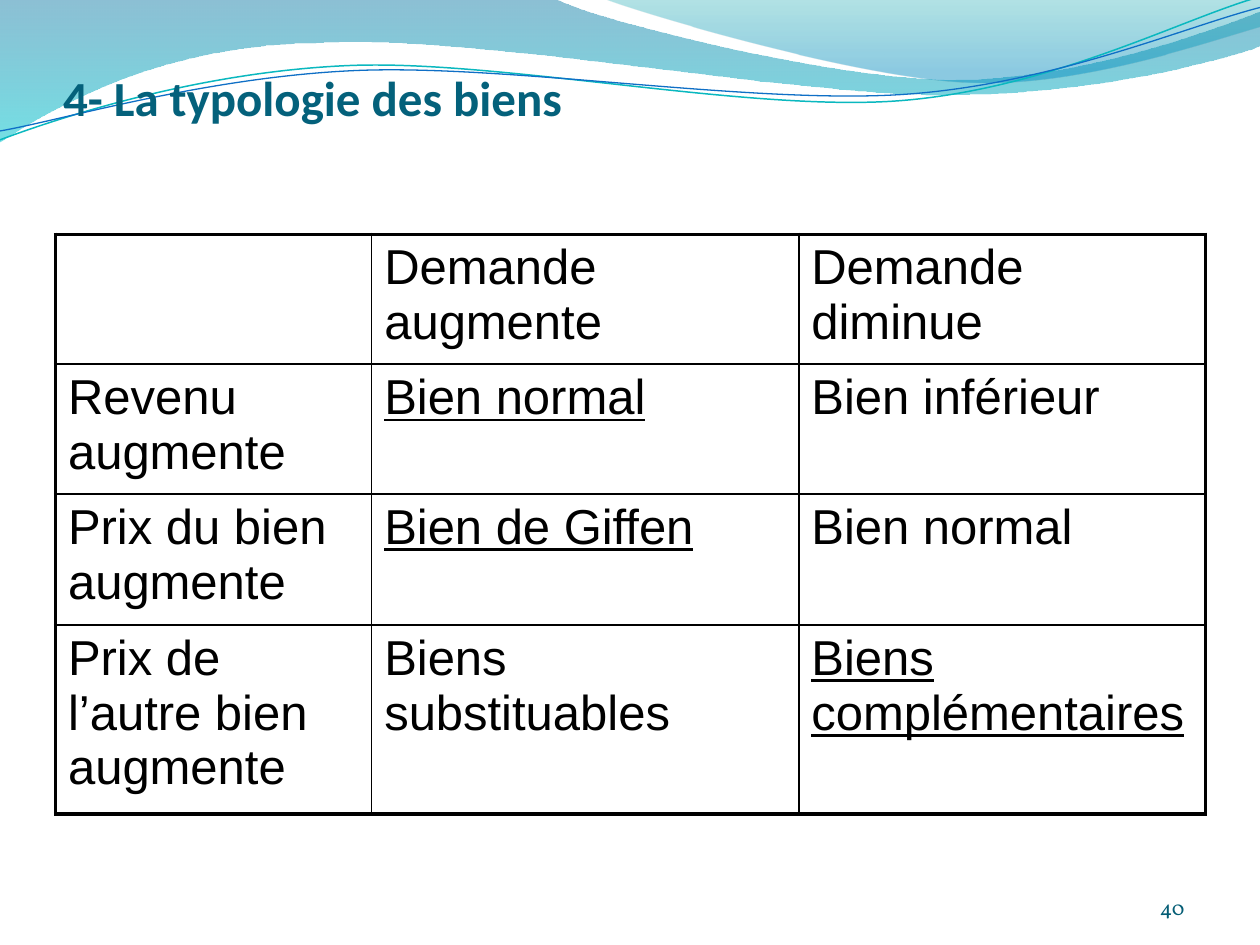
from math import cos, radians, sin
from typing import NamedTuple, Optional

from lxml.etree import SubElement
from pptx import Presentation
from pptx.dml.color import RGBColor
from pptx.enum.text import MSO_ANCHOR as Anchor, PP_ALIGN as Align
from pptx.oxml.ns import qn
from pptx.util import Inches, Pt

TILT = 2.7


class Stop(NamedTuple):
    pos: float
    color: str
    alpha: int


class Line(NamedTuple):
    color: str
    width: float
    pivot: tuple


class Wave(NamedTuple):
    """Two numbers in a leg make a straight line, six a Bezier curve."""
    start: tuple
    legs: list
    stops: tuple = ()
    line: Optional[Line] = None


class Cell(NamedTuple):
    text: str
    under: bool = False


WAVES = [
    Wave((0, -0.01), [
        (4.4, -0.01), (4.76, 0.17, 6.64, 0.63, 7.58, 0.63),
        (8.53, 0.63, 9.58, 0.26, 10, 0.09), (10.01, 0.36),
        (9.83, 0.44, 8.7, 0.76, 7.46, 0.75),
        (6.22, 0.75, 3.82, 0.28, 2.57, 0.34),
        (1.29, 0.35, 0.46, 0.83, -0.01, 1.13), (0, -0.01),
    ], stops=(Stop(0, "0074A1", 45), Stop(1, "00C6CF", 55))),
    Wave((4.79, -0.01), [
        (5.09, 0.11, 6.82, 0.62, 7.69, 0.65),
        (8.56, 0.69, 9.61, 0.32, 10, 0.21), (10, 0), (4.79, -0.01),
    ], stops=(Stop(0, "00A1A9", 30), Stop(0.8, "008BBF", 45))),
    Wave((0, 1.11), [
        (0.48, 0.93, 1.58, 0.57, 2.77, 0.52),
        (3.95, 0.47, 5.93, 0.89, 7.13, 0.8),
        (8.33, 0.71, 9.38, 0.15, 9.98, -0.02),
    ], line=Line("0AB8BF", 0.85, (4.99, 0.58))),
    Wave((0, 1.04), [
        (0.47, 0.96, 1.64, 0.61, 2.83, 0.56),
        (4.03, 0.51, 5.97, 0.83, 7.17, 0.75),
        (8.36, 0.67, 9.41, 0.21, 10, 0.06),
    ], line=Line("0F6FC6", 0.75, (5, 0.59))),
]

COLS = [2.51, 3.39, 3.23]
ROWS = [1.03, 1.03, 1.04, 1.5]
CELLS = [
    [Cell(""), Cell("Demande augmente"), Cell("Demande diminue")],
    [Cell("Revenu augmente"), Cell("Bien normal", True),
     Cell("Bien inférieur")],
    [Cell("Prix du bien augmente"), Cell("Bien de Giffen", True),
     Cell("Bien normal")],
    [Cell("Prix de l’autre bien augmente"), Cell("Biens substituables"),
     Cell("Biens complémentaires", True)],
]


def rgb(code: str) -> RGBColor:
    return RGBColor.from_string(code)


def turn(point: tuple, pivot: tuple) -> tuple:
    """Rotate a point clockwise by the tilt of the thin lines."""
    x, y = point[0] - pivot[0], point[1] - pivot[1]
    c, s = cos(radians(TILT)), sin(radians(TILT))
    return pivot[0] + x * c - y * s, pivot[1] + x * s + y * c


def bend(shape, legs: list) -> None:
    """Merge each run of three line nodes into one curve node."""
    nodes = iter(list(shape._element.iter(qn("a:lnTo"))))
    for leg in legs:
        node = next(nodes)
        if len(leg) == 2:
            continue
        curve = SubElement(node.getparent(), qn("a:cubicBezTo"))
        node.addprevious(curve)
        for part in (node, next(nodes), next(nodes)):
            curve.append(part[0])
            part.getparent().remove(part)


def draw_wave(slide, wave: Wave) -> None:
    points = [wave.start] + [leg[i:i + 2] for leg in wave.legs
                             for i in range(0, len(leg), 2)]
    if wave.line:
        points = [turn(point, wave.line.pivot) for point in points]
    first, *rest = [(Inches(x), Inches(y)) for x, y in points]
    pen = slide.shapes.build_freeform(*first)
    pen.add_line_segments(rest, close=bool(wave.stops))
    shape = pen.convert_to_shape()
    bend(shape, wave.legs)
    shape.shadow.inherit = False
    if wave.line:
        shape.rotation = 360 - TILT
        shape.fill.background()
        shape.line.color.rgb = rgb(wave.line.color)
        shape.line.width = Pt(wave.line.width)
        return
    shape.line.fill.background()
    shape.fill.gradient()
    shape.fill.gradient_angle = 270
    for grad, stop in zip(shape.fill.gradient_stops, wave.stops):
        grad.position = stop.pos
        grad.color.rgb = rgb(stop.color)
    for node, stop in zip(shape._element.iter(qn("a:srgbClr")), wave.stops):
        SubElement(node, qn("a:alpha"), val=str(stop.alpha * 1000))


def write(frame, text: str, color: str, align=Align.LEFT, **font) -> None:
    para = frame.paragraphs[0]
    para.alignment = align
    run = para.add_run()
    run.text = text
    run.font.color.rgb = rgb(color)
    for key, value in font.items():
        setattr(run.font, key, value)


def set_edge(cell, side: str, width: float) -> None:
    edge = SubElement(cell._tc.get_or_add_tcPr(), qn(f"a:ln{side}"),
                      w=str(Pt(width)))
    fill = SubElement(edge, qn("a:solidFill"))
    SubElement(fill, qn("a:srgbClr"), val="000000")


def draw_table(slide) -> None:
    """Draw the grid with a thick outer frame and thin inner lines."""
    table = slide.shapes.add_table(
        len(ROWS), len(COLS), Inches(0.44), Inches(1.86),
        Inches(sum(COLS)), Inches(sum(ROWS))).table
    table.first_row = table.horz_banding = False
    for col, width in zip(table.columns, COLS):
        col.width = Inches(width)
    for row, height in zip(table.rows, ROWS):
        row.height = Inches(height)
    for r, row in enumerate(CELLS):
        for c, item in enumerate(row):
            cell = table.cell(r, c)
            outer = {"L": c == 0, "R": c == len(COLS) - 1,
                     "T": r == 0, "B": r == len(ROWS) - 1}
            for side, thick in outer.items():
                set_edge(cell, side, 2.25 if thick else 1)
            cell.fill.background()
            if item.text:
                write(cell.text_frame, item.text, "000000", name="Arial",
                      size=Pt(28), underline=item.under)


def place_title(slide) -> None:
    title = slide.shapes.title
    box = {"left": 0.5, "top": 0.31, "width": 9, "height": 0.69}
    for key, value in box.items():
        setattr(title, key, Inches(value))
    frame = title.text_frame
    style = {"margin_left": 0, "margin_right": 0, "margin_bottom": 0,
             "margin_top": Inches(0.05), "vertical_anchor": Anchor.BOTTOM}
    for key, value in style.items():
        setattr(frame, key, value)
    write(frame, "4- La typologie des biens", "04617B",
          name="Calibri", size=Pt(28), bold=True)
    slide.shapes._spTree.append(title._element)


def place_number(slide) -> None:
    frame = slide.shapes.add_textbox(
        Inches(7.17), Inches(6.83), Inches(2.33), Inches(0.52)).text_frame
    frame.word_wrap = True
    frame.vertical_anchor = Anchor.BOTTOM
    write(frame, "40", "045D75", Align.RIGHT, name="Vollkorn", size=Pt(12))


def main() -> None:
    deck = Presentation()
    deck.slide_width, deck.slide_height = Inches(10), Inches(7.5)
    slide = deck.slides.add_slide(deck.slide_layouts[5])
    for wave in WAVES:
        draw_wave(slide, wave)
    place_title(slide)
    draw_table(slide)
    place_number(slide)
    deck.save("out.pptx")


if __name__ == "__main__":
    main()
